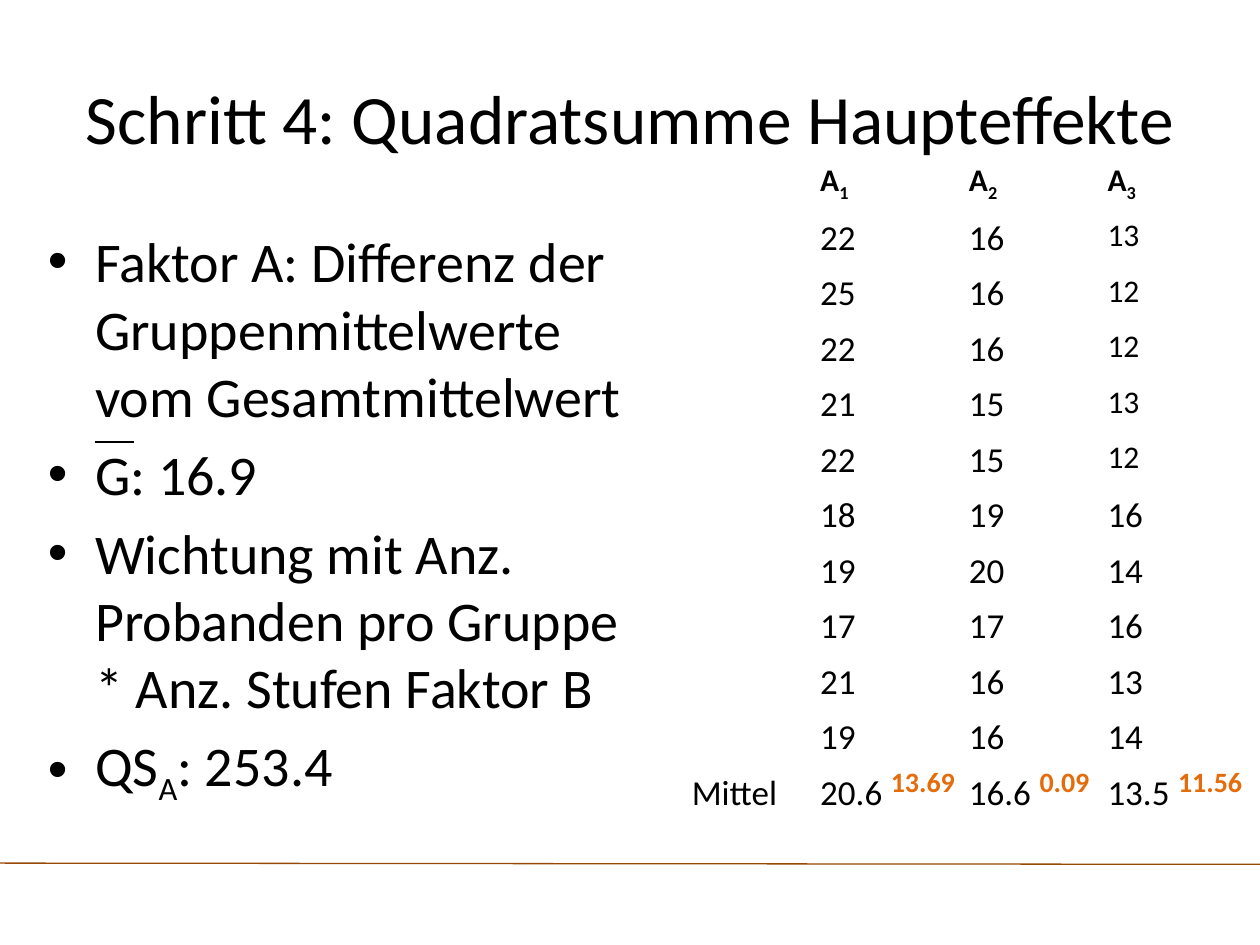
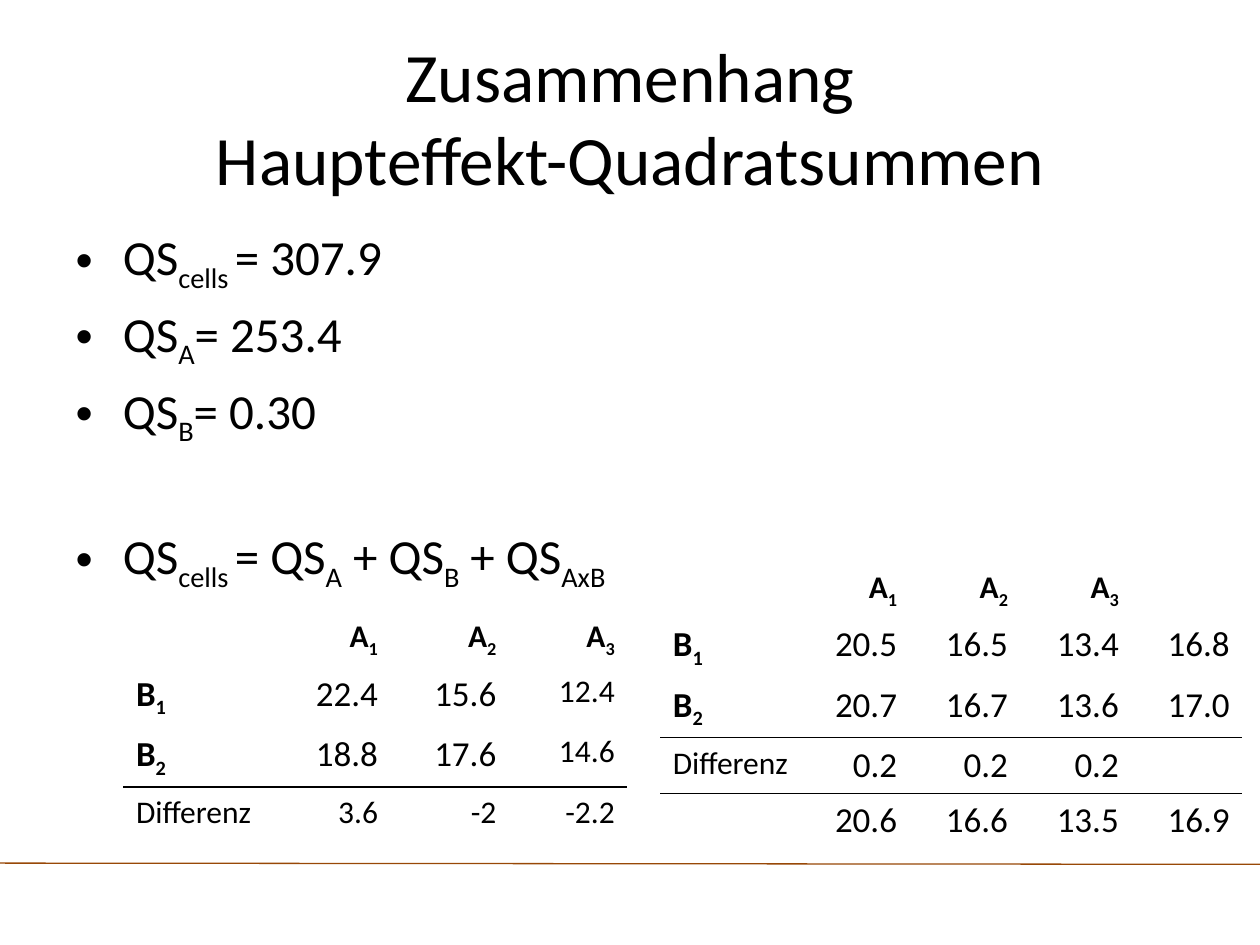
from lxml import etree
from pptx import Presentation
from pptx.dml.color import RGBColor
from pptx.enum.shapes import MSO_CONNECTOR
from pptx.enum.text import MSO_ANCHOR, MSO_AUTO_SIZE, PP_ALIGN
from pptx.oxml.ns import qn
from pptx.util import Inches, Pt

BLACK = RGBColor(0x00, 0x00, 0x00)
BROWN = RGBColor(0x98, 0x48, 0x07)
ORANGE = RGBColor(0xE4, 0x6C, 0x0A)
FONT = "Calibri"
PLAIN_TABLE_STYLE = "{2D5ABB26-0587-4C30-8999-92F81FD0307C}"


class Deck:
    """Holds the shared style and the current slide."""

    def __init__(self):
        self.presentation = Presentation()
        self.presentation.slide_width = Inches(10)
        self.presentation.slide_height = Inches(7.5)
        self.slide = None

    def new_slide(self, title):
        layout = self.presentation.slide_layouts[1]
        self.slide = self.presentation.slides.add_slide(layout)
        self.line((0, 6.85), (10, 6.86), BROWN, 0.75)
        shape = self.slide.shapes.title
        self.place(shape, 0.5, 0.3, 9, 1.25)
        frame = shape.text_frame
        frame.auto_size = MSO_AUTO_SIZE.NONE
        frame.vertical_anchor = MSO_ANCHOR.MIDDLE
        frame.text = title
        self.style(frame.paragraphs[0], 39.6, align=PP_ALIGN.CENTER)

    def place(self, shape, left, top, width, height):
        shape.left, shape.top = Inches(left), Inches(top)
        shape.width, shape.height = Inches(width), Inches(height)

    def style(self, paragraph, size, color=BLACK, bold=False, align=None):
        font = paragraph.font
        font.name, font.size, font.bold = FONT, Pt(size), bold
        font.color.rgb = color
        paragraph.alignment = align

    def add_text(self, paragraph, text):
        """Every second part between bars is a subscript."""
        for index, part in enumerate(text.split("|")):
            if part:
                run = paragraph.add_run()
                run.text = part
                if index % 2:
                    run._r.get_or_add_rPr().set("baseline", "-25000")

    def bullets(self, items, box, size):
        shape = self.slide.placeholders[1]
        self.place(shape, *box)
        frame = shape.text_frame
        frame.auto_size = MSO_AUTO_SIZE.NONE
        for index, item in enumerate(items):
            paragraph = frame.add_paragraph() if index else frame.paragraphs[0]
            self.add_text(paragraph, item)
            self.style(paragraph, size)
        return frame.paragraphs

    def line(self, start, end, color, width):
        points = [Inches(value) for value in (*start, *end)]
        connector = self.slide.shapes.add_connector(MSO_CONNECTOR.STRAIGHT, *points)
        connector.line.color.rgb = color
        connector.line.width = Pt(width)
        etree.SubElement(connector._element.spPr, qn("a:effectLst"))

    def table(self, rows, left, top, widths, row_height, size=20, small=(),
              ruled=(), color=BLACK, bold=False, align=PP_ALIGN.LEFT):
        """Cells in small get 18 pt; rows in ruled get a line below."""
        shape = self.slide.shapes.add_table(
            len(rows), len(widths), Inches(left), Inches(top),
            Inches(sum(widths)), Inches(row_height * len(rows)))
        table = shape.table
        table.first_row = table.horz_banding = False
        table._tbl.tblPr.find(qn("a:tableStyleId")).text = PLAIN_TABLE_STYLE
        for column, width in zip(table.columns, widths):
            column.width = Inches(width)
        for row_index, row in enumerate(rows):
            table.rows[row_index].height = Inches(row_height)
            for column_index, text in enumerate(row):
                cell = table.cell(row_index, column_index)
                cell.fill.background()
                if row_index in ruled:
                    self.border(cell, "a:lnB")
                if row_index - 1 in ruled:
                    self.border(cell, "a:lnT")
                paragraph = cell.text_frame.paragraphs[0]
                self.add_text(paragraph, text)
                is_small = (row_index, column_index) in small or not text
                self.style(paragraph, 18 if is_small else size, color,
                           bold or "|" in text,
                           align if column_index else PP_ALIGN.LEFT)

    def border(self, cell, side):
        line = etree.Element(qn(side), w=str(Pt(1)))
        fill = etree.SubElement(line, qn("a:solidFill"))
        etree.SubElement(fill, qn("a:srgbClr"), val=str(BLACK))
        cell._tc.get_or_add_tcPr().insert(0, line)


HEADER = ["", "A|1", "A|2", "A|3"]
HEADER_CELLS = {(0, column) for column in range(1, 4)}


def main_effects(deck):
    deck.new_slide("Schritt 4: Quadratsumme Haupteffekte")
    deck.bullets([
        "Faktor A: Differenz der Gruppenmittelwerte vom Gesamtmittelwert",
        "G: 16.9",
        "Wichtung mit Anz. Probanden pro Gruppe * Anz. Stufen Faktor B",
        "QS|A|: 253.4",
    ], (0.28, 1.75, 5.04, 4.95), 32)

    # Scores by level of factor A, with their means
    scores = [
        (22, 16, 13), (25, 16, 12), (22, 16, 12), (21, 15, 13), (22, 15, 12),
        (18, 19, 16), (19, 20, 14), (17, 17, 16), (21, 16, 13), (19, 16, 14),
    ]
    rows = [HEADER]
    rows += [["", *map(str, score)] for score in scores]
    rows.append(["Mittel", "20.6", "16.6", "13.5"])
    deck.table(rows, 5.39, 1.23, [1.02, 1.18, 1.1, 0.71], 0.43,
               small=HEADER_CELLS | {(row, 3) for row in range(1, 6)})

    # Squared deviations beside the means
    deck.table([["13.69", "0.09", "11.56"]], 6.97, 6.03, [1.18, 1.1, 1.1], 0.45,
               size=16, color=ORANGE, bold=True)

    # Bar over G
    deck.line((0.75, 3.51), (1.06, 3.51), BLACK, 1)


def sums_of_squares(deck):
    deck.new_slide("Zusammenhang\vHaupteffekt-Quadratsummen")
    paragraphs = deck.bullets([
        "QS|cells |= 307.9",
        "QS|A|= 253.4",
        "QS|B|= 0.30",
        "QS|cells |= QS|A| + QS|B| + QS|AxB",
    ], (0.5, 1.75, 9, 4.95), 28)
    paragraphs[-1].space_before = Pt(45)

    # Cell means
    deck.table([
        HEADER,
        ["B|1", "22.4", "15.6", "12.4"],
        ["B|2", "18.8", "17.6", "14.6"],
        ["Differenz", "3.6", "-2", "-2.2"],
    ], 0.98, 4.85, [1.18] + [0.94] * 3, 0.21, ruled=[2], align=PP_ALIGN.RIGHT,
        small=HEADER_CELLS | {(1, 3), (2, 3)} | {(3, column) for column in range(4)})

    # Means expected from the main effects
    deck.table([
        HEADER + [""],
        ["B|1", "20.5", "16.5", "13.4", "16.8"],
        ["B|2", "20.7", "16.7", "13.6", "17.0"],
        ["Differenz", "0.2", "0.2", "0.2", ""],
        ["", "20.6", "16.6", "13.5", "16.9"],
    ], 5.24, 4.46, [1.18, 0.8] + [0.88] * 3, 0.21, ruled=[2, 3],
        align=PP_ALIGN.RIGHT, small=HEADER_CELLS | {(3, 0)})


def main():
    deck = Deck()
    main_effects(deck)
    sums_of_squares(deck)
    deck.presentation.save("out.pptx")


if __name__ == "__main__":
    main()
